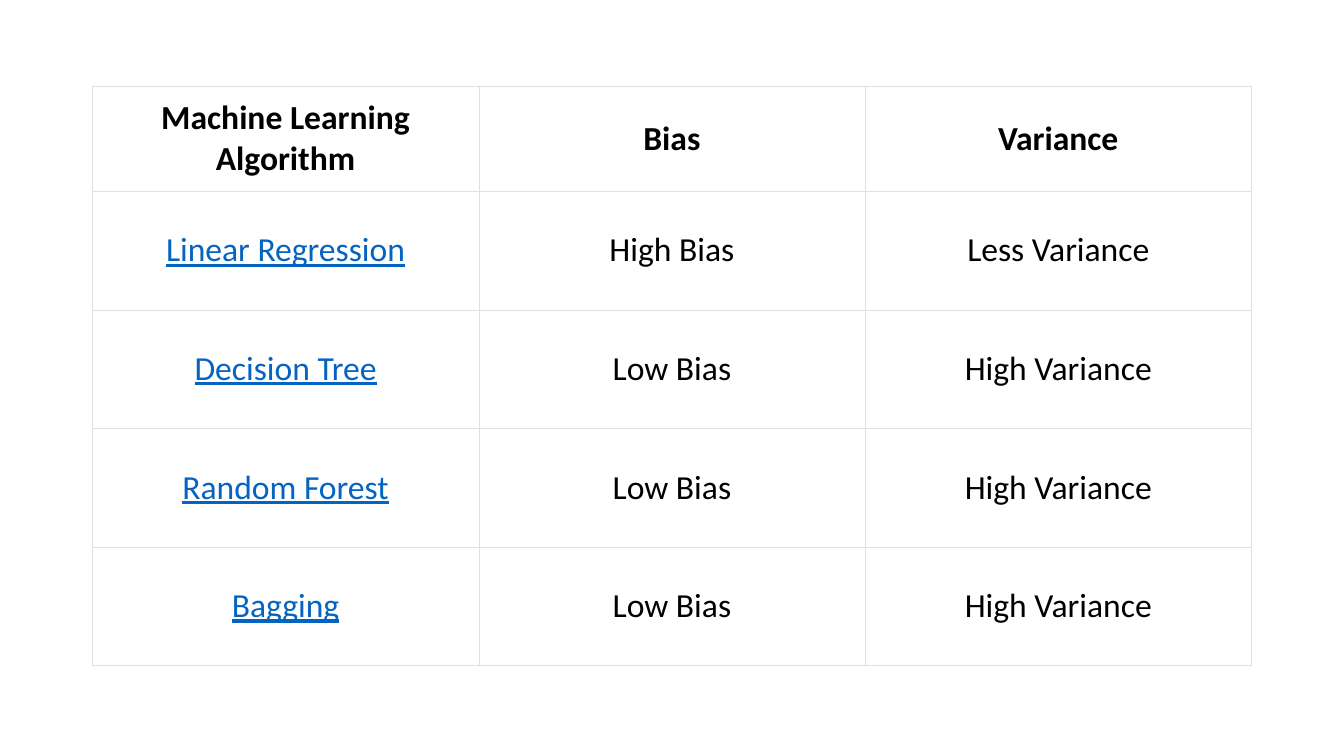
from lxml.etree import SubElement
from pptx import Presentation
from pptx.dml.color import RGBColor
from pptx.enum.text import MSO_ANCHOR as Anchor, PP_ALIGN as Align
from pptx.oxml.ns import qn
from pptx.util import Pt

COLORS = {"text": "000000", "term": "0563C1", "cell": "FFFFFF", "border": "DFDFDF"}
FONT, FONT_SIZE = "Calibri", 24
BORDER_WIDTH = 0.23
HEADER_HEIGHT = 75

ALGORITHMS = [
    ("Machine Learning Algorithm", "Bias", "Variance"),
    ("Linear Regression", "High Bias", "Less Variance"),
    ("Decision Tree", "Low Bias", "High Variance"),
    ("Random Forest", "Low Bias", "High Variance"),
    ("Bagging", "Low Bias", "High Variance"),
]


def rgb(name):
    return RGBColor.from_string(COLORS[name])


def add_borders(cell):
    properties = cell._tc.get_or_add_tcPr()
    for side in ("lnL", "lnR", "lnT", "lnB"):
        line = SubElement(properties, qn(f"a:{side}"), w=str(Pt(BORDER_WIDTH)))
        fill = SubElement(line, qn("a:solidFill"))
        SubElement(fill, qn("a:srgbClr"), val=COLORS["border"])


def fill_cell(cell, wording, is_header, is_term):
    # Borders come before the fill in the cell's XML
    add_borders(cell)
    cell.fill.solid()
    cell.fill.fore_color.rgb = rgb("cell")

    cell.vertical_anchor = Anchor.MIDDLE
    cell.margin_left = cell.margin_right = Pt(7.2)
    cell.margin_top = cell.margin_bottom = Pt(7.2 if is_header else 10.8)

    cell.text = wording
    paragraph = cell.text_frame.paragraphs[0]
    paragraph.alignment = Align.CENTER
    font = paragraph.font
    font.name, font.size = FONT, Pt(FONT_SIZE)
    font.bold, font.underline = is_header, is_term
    font.color.rgb = rgb("term" if is_term else "text")


def add_comparison(slide, left, top, width, height):
    row_count, column_count = len(ALGORITHMS), len(ALGORITHMS[0])
    comparison = slide.shapes.add_table(
        row_count, column_count, Pt(left), Pt(top), Pt(width), Pt(height)
    ).table
    comparison.horz_banding = False

    # Header row, then equal rows in the height that is left
    body_height = (height - HEADER_HEIGHT) / (row_count - 1)
    for index, row in enumerate(comparison.rows):
        row.height = Pt(body_height if index else HEADER_HEIGHT)

    # Cells; the algorithm names are underlined terms
    for r, wordings in enumerate(ALGORITHMS):
        for c, wording in enumerate(wordings):
            fill_cell(comparison.cell(r, c), wording, r == 0, r > 0 and c == 0)
    comparison.cell(0, 0).margin_left = comparison.cell(0, 0).margin_right = Pt(3)


def main():
    deck = Presentation()
    deck.slide_width, deck.slide_height = Pt(960), Pt(540)
    slide = deck.slides.add_slide(deck.slide_layouts[6])
    add_comparison(slide, left=66, top=61.5, width=828, height=414)
    deck.save("out.pptx")


if __name__ == "__main__":
    main()
